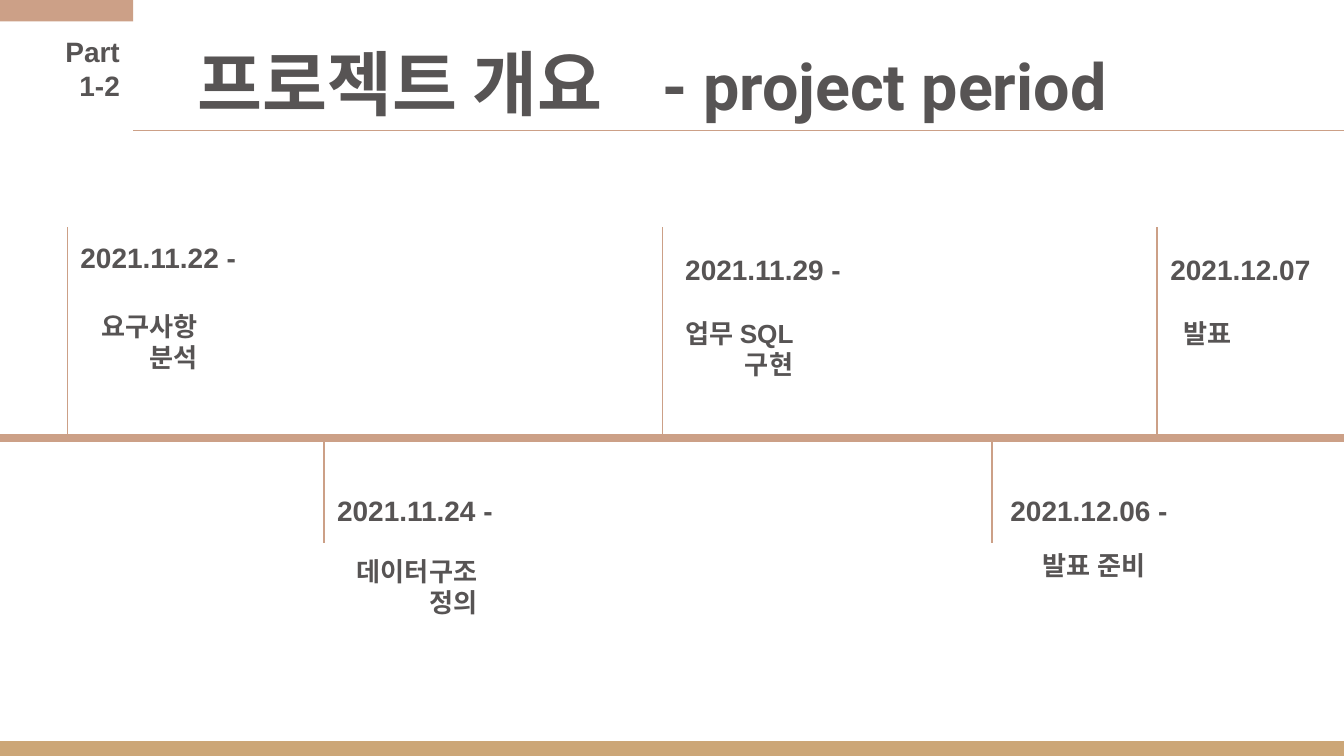
from dataclasses import dataclass

import pptx
import pptx.dml.color
import pptx.enum.shapes
import pptx.enum.text
import pptx.oxml
import pptx.oxml.ns
import pptx.util
from pptx.util import Inches

ALIGN = pptx.enum.text.PP_ALIGN
ROSE = "CCA087"
GOLD = "CCA677"
INK = "575454"
WIDTH = 10
HEIGHT = WIDTH * 9 / 16
FOOTER_HEIGHT = 0.11
AXIS_Y = 3.26
ABOVE_Y, BELOW_Y = 1.69, 4.04
DATE_HEIGHT = 0.45


@dataclass
class Box:
    left: float
    top: float
    width: float
    height: float


@dataclass
class Milestone:
    x: float
    tick_end: float
    date: str
    date_box: Box
    task: str
    task_box: Box
    task_align: ALIGN = ALIGN.RIGHT


MILESTONES = [
    Milestone(0.5, ABOVE_Y, "2021.11.22 -", Box(0.5, 1.69, 2, DATE_HEIGHT),
              "요구사항 분석", Box(0.5, 2.21, 1.07, 0.67)),
    Milestone(2.41, BELOW_Y, "2021.11.24 -", Box(2.41, 3.57, 3.28, DATE_HEIGHT),
              "데이터구조 정의", Box(2.41, 4.03, 1.24, 0.67)),
    Milestone(4.93, ABOVE_Y, "2021.11.29 -", Box(5, 1.78, 3.28, DATE_HEIGHT),
              "업무 SQL 구현", Box(4.93, 2.26, 1.07, 0.67)),
    Milestone(7.38, BELOW_Y, "2021.12.06 -", Box(7.42, 3.57, 1.74, DATE_HEIGHT),
              "발표 준비", Box(7.38, 3.99, 1.24, 0.44)),
    Milestone(8.61, ABOVE_Y, "2021.12.07", Box(8.61, 1.78, 1.56, DATE_HEIGHT),
              "발표", Box(8.71, 2.26, 0.74, 0.44), ALIGN.LEFT),
]


def color(value: str) -> pptx.dml.color.RGBColor:
    return pptx.dml.color.RGBColor.from_string(value)


def place(box: Box) -> tuple:
    return Inches(box.left), Inches(box.top), Inches(box.width), Inches(box.height)


def add_bar(slide, box: Box, fill: str) -> None:
    bar = slide.shapes.add_shape(pptx.enum.shapes.MSO_SHAPE.RECTANGLE, *place(box))
    bar.shadow.inherit = False
    bar.fill.solid()
    bar.fill.fore_color.rgb = color(fill)
    bar.line.fill.background()


def add_rule(slide, x1: float, y1: float, x2: float, y2: float, weight: float = 0.75) -> None:
    rule = slide.shapes.add_connector(
        pptx.enum.shapes.MSO_CONNECTOR.STRAIGHT,
        Inches(x1), Inches(y1), Inches(x2), Inches(y2))
    rule.line.color.rgb = color(ROSE)
    rule.line.width = pptx.util.Pt(weight)
    rule._element.spPr.append(
        pptx.oxml.parse_xml(f"<a:effectLst {pptx.oxml.ns.nsdecls('a')}/>"))


def style_run(run, size: float, font: str) -> None:
    run.font.size = pptx.util.Pt(size)
    run.font.name = font
    run.font.bold = True
    run.font.color.rgb = color(INK)


def add_frame(slide, box: Box):
    frame = slide.shapes.add_textbox(*place(box)).text_frame
    frame.word_wrap = True
    frame.margin_left = frame.margin_right = Inches(0.1)
    frame.margin_top = frame.margin_bottom = Inches(0.1)
    return frame


def add_label(slide, box: Box, text: str, size: float, align: ALIGN = ALIGN.LEFT) -> None:
    frame = add_frame(slide, box)
    frame.text = text
    paragraph = frame.paragraphs[0]
    paragraph.alignment = align
    style_run(paragraph.runs[0], size, "Arial")


def add_title(slide) -> None:
    frame = add_frame(slide, Box(1.37, 0.44, 8.43, 0.59))
    frame.vertical_anchor = pptx.enum.text.MSO_ANCHOR.BOTTOM
    heading = frame.paragraphs[0]
    for text, size in (("프로젝트 개요\t", 37.8), ("- project period", 34.6)):
        run = heading.add_run()
        run.text = text
        style_run(run, size, "Roboto")
    heading._p.get_or_add_pPr().append(pptx.oxml.parse_xml(
        f"<a:tabLst {pptx.oxml.ns.nsdecls('a')}>"
        f'<a:tab pos="{Inches(3.46)}" algn="l"/></a:tabLst>'))


def add_milestone(slide, milestone: Milestone) -> None:
    add_rule(slide, milestone.x, milestone.tick_end, milestone.x, AXIS_Y)
    add_label(slide, milestone.date_box, milestone.date, 15)
    add_label(slide, milestone.task_box, milestone.task, 14, milestone.task_align)


def main() -> None:
    deck = pptx.Presentation()
    deck.slide_width, deck.slide_height = Inches(WIDTH), Inches(HEIGHT)
    slide = deck.slides.add_slide(deck.slide_layouts[6])
    add_bar(slide, Box(0, HEIGHT - FOOTER_HEIGHT, WIDTH, FOOTER_HEIGHT), GOLD)
    add_title(slide)
    add_bar(slide, Box(0, 0, 0.99, 0.16), ROSE)
    add_label(slide, Box(0.38, 0.16, 0.61, 0.71), "Part 1-2", 15, ALIGN.RIGHT)
    add_rule(slide, 0.99, 0.97, WIDTH, 0.97)
    add_rule(slide, WIDTH, AXIS_Y, 0, AXIS_Y, 4.5)
    for milestone in MILESTONES:
        add_milestone(slide, milestone)
    deck.save("out.pptx")


if __name__ == "__main__":
    main()
